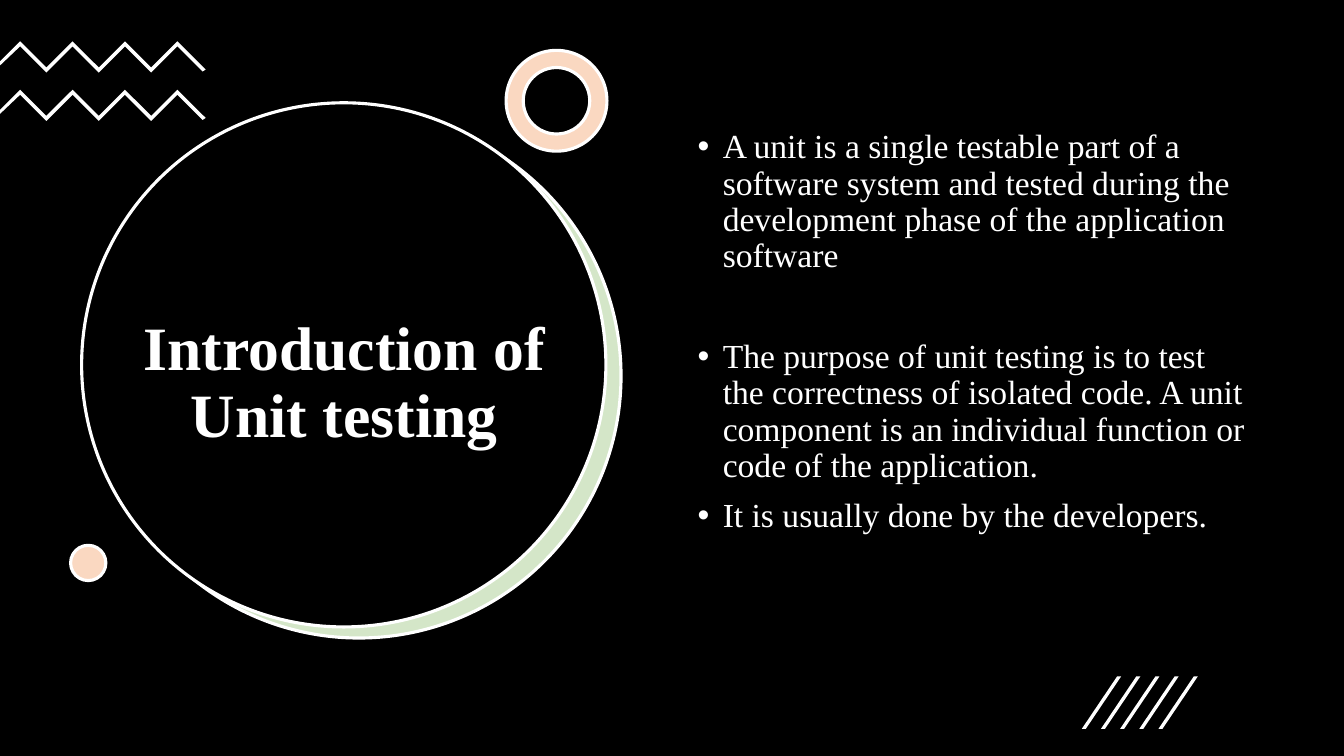
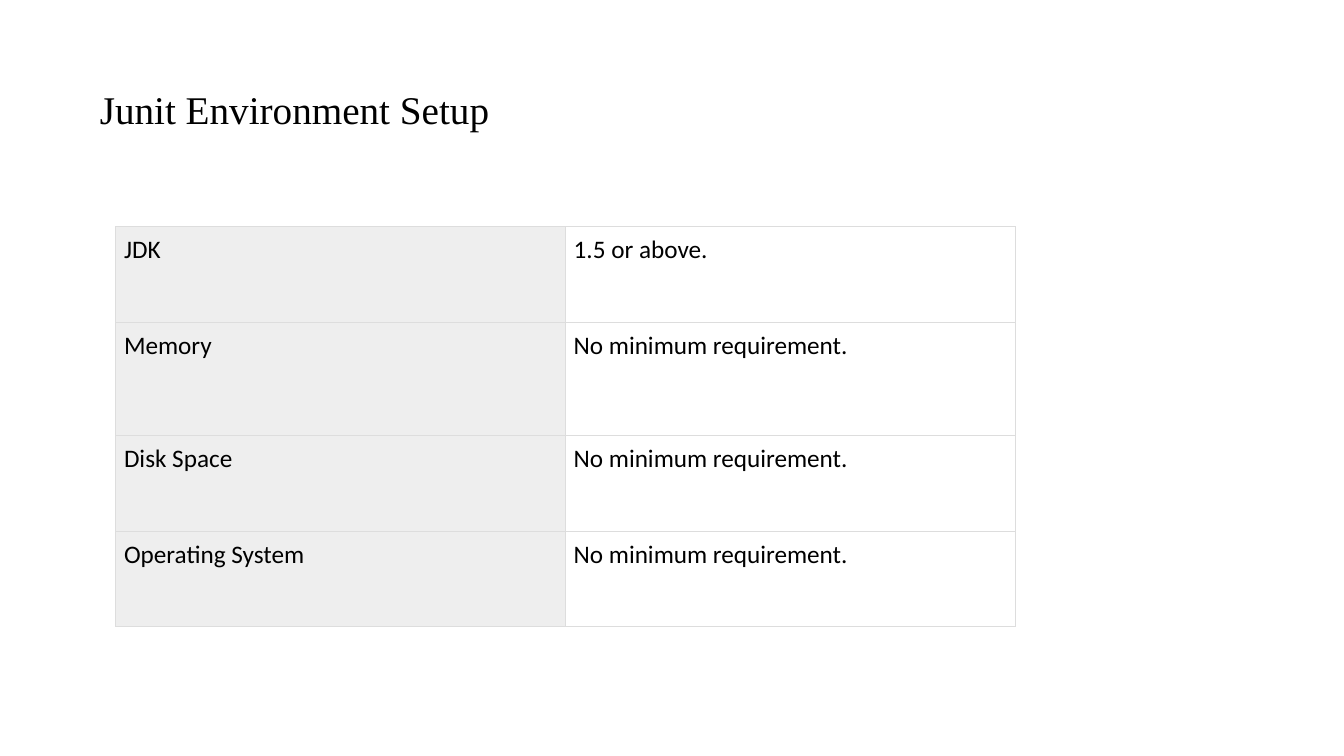
from lxml import etree
from pptx import Presentation
from pptx import util as u
from pptx.dml.color import RGBColor
from pptx.enum import shapes, text
from pptx.oxml import ns

BLACK = "000000"
WHITE = "FFFFFF"
GREEN = "D4E6C8"
PEACH = "FAD8C1"
GREY = "EEEEEE"
BORDER = "DDDDDD"
SERIF = "Times New Roman"
SANS = "Calibri"


def color(value):
    return RGBColor.from_string(value)


def add_xml(parent, tag, **attributes):
    return etree.SubElement(parent, ns.qn(tag), attributes)


class Deck:
    def __init__(self):
        self.deck = Presentation()
        self.deck.slide_width = u.Inches(13.33)
        self.deck.slide_height = u.Inches(7.5)
        self.page = None

    def add_page(self, background):
        self.page = self.deck.slides.add_slide(self.deck.slide_layouts[5])
        self.page.background.fill.solid()
        self.page.background.fill.fore_color.rgb = color(background)

    def style(self, paragraph, size, ink, name=SERIF, bold=False):
        font = paragraph.font
        font.name, font.size, font.bold = name, u.Pt(size), bold
        font.color.rgb = color(ink)

    def title(self, words, left, top, width, height, size, ink, align, bold=False):
        box = self.page.shapes.title
        box.left, box.top = u.Inches(left), u.Inches(top)
        box.width, box.height = u.Inches(width), u.Inches(height)
        box.element.getparent().append(box.element)
        frame = box.text_frame
        frame.text = words
        frame.word_wrap = True
        frame.auto_size = text.MSO_AUTO_SIZE.NONE
        frame.vertical_anchor = text.MSO_ANCHOR.MIDDLE
        paragraph = frame.paragraphs[0]
        paragraph.alignment = align
        paragraph.line_spacing = 0.9
        self.style(paragraph, size, ink, bold=bold)

    def round_shape(self, left, top, size, fill, kind=shapes.MSO_SHAPE.OVAL):
        shape = self.page.shapes.add_shape(
            kind, u.Inches(left), u.Inches(top), u.Inches(size), u.Inches(size))
        shape.shadow.inherit = False
        shape.fill.solid()
        shape.fill.fore_color.rgb = color(fill)
        shape.line.color.rgb = color(WHITE)
        shape.line.width = u.Pt(2.25)
        return shape

    def ring(self, left, top, size, fill, thickness):
        donut = self.round_shape(left, top, size, fill, shapes.MSO_SHAPE.DONUT)
        donut.adjustments[0] = thickness

    def outline(self, points, fill):
        points = [(u.Inches(x), u.Inches(y)) for x, y in points]
        builder = self.page.shapes.build_freeform(*points[0])
        builder.add_line_segments(points[1:], close=True)
        shape = builder.convert_to_shape()
        shape.shadow.inherit = False
        shape.fill.solid()
        shape.fill.fore_color.rgb = color(fill)
        shape.line.fill.background()

    def zigzag(self, top):
        peaks = [(0.2 + 0.26 * i, top + 0.26 * (i % 2)) for i in range(7)]
        tip = [(2.04, top + 0.28), (2.01, top + 0.3)]
        underside = [(x, y + 0.05) for x, y in reversed(peaks)]
        tail = [(0, top + 0.24), (0, top + 0.2)]
        self.outline(peaks + tip + underside + tail, WHITE)

    def slash(self, left, top):
        bottom = top + 0.52
        self.outline([(left + 0.04, bottom), (left, bottom),
                      (left + 0.35, top), (left + 0.39, top)], WHITE)

    def bullets(self, items, left, top, width, height, size, ink):
        box = self.page.shapes.add_textbox(
            u.Inches(left), u.Inches(top), u.Inches(width), u.Inches(height))
        frame = box.text_frame
        frame.word_wrap = True
        for index, (words, space) in enumerate(items):
            paragraph = frame.add_paragraph() if index else frame.paragraphs[0]
            paragraph.text = words
            paragraph.line_spacing = 0.9
            paragraph.space_before = u.Pt(space)
            properties = paragraph._p.get_or_add_pPr()
            properties.set("marL", str(u.Inches(0.25)))
            properties.set("indent", str(u.Inches(-0.25)))
            add_xml(properties, "a:buFont", typeface="Arial")
            add_xml(properties, "a:buChar", char="•")
            self.style(paragraph, size, ink)

    def cell(self, cell, words, fill):
        cell.text = words
        cell.margin_left = cell.margin_right = u.Inches(0.08)
        cell.margin_top = cell.margin_bottom = u.Inches(0.08)
        self.style(cell.text_frame.paragraphs[0], 18, BLACK, SANS)
        properties = cell._tc.get_or_add_tcPr()
        for side in "LRTB":
            line = add_xml(properties, f"a:ln{side}", w=str(u.Pt(0.75)))
            add_xml(add_xml(line, "a:solidFill"), "a:srgbClr", val=BORDER)
        if fill:
            cell.fill.solid()
            cell.fill.fore_color.rgb = color(fill)
        else:
            cell.fill.background()

    def table(self, rows, left, top, widths, heights, fills):
        table = self.page.shapes.add_table(
            len(rows), len(widths), u.Inches(left), u.Inches(top),
            u.Inches(sum(widths)), u.Inches(sum(heights))).table
        table.first_row = table.horz_banding = False
        for column, width in zip(table.columns, widths):
            column.width = u.Inches(width)
        for row, height, entries in zip(table.rows, heights, rows):
            row.height = u.Inches(height)
            for cell, words, fill in zip(row.cells, entries, fills):
                self.cell(cell, words, fill)


def introduction(deck):
    deck.add_page(BLACK)
    deck.round_shape(0.96, 1.13, 5.2, GREEN)
    deck.round_shape(0.81, 1.02, 5.2, BLACK)
    deck.title("Introduction of Unit testing", 1.21, 2.05, 4.41, 3.52,
               44, WHITE, text.PP_ALIGN.CENTER, bold=True)
    for top in (0.41, 0.89):
        deck.zigzag(top)
    deck.ring(5.02, 0.5, 1, PEACH, 0.17)
    deck.round_shape(0.7, 5.41, 0.35, PEACH)
    deck.bullets([
        ("A unit is a single testable part of a software system and tested "
         "during the development phase of the application software", 0),
        ("The purpose of unit testing is to test the correctness of isolated "
         "code. A unit component is an individual function or code of the "
         "application.", 46),
        ("It is usually done by the developers.", 10),
    ], 6.82, 1.24, 5.71, 4.76, 24, WHITE)
    for index in range(5):
        deck.slash(10.73 + 0.19 * index, 6.71)


def environment(deck):
    deck.add_page(WHITE)
    deck.title("Junit Environment Setup", 0.89, 0.37, 11.52, 1.48,
               28, BLACK, text.PP_ALIGN.LEFT)
    deck.table([
        ("JDK", "1.5 or above."),
        ("Memory", "No minimum requirement."),
        ("Disk Space", "No minimum requirement."),
        ("Operating System", "No minimum requirement."),
    ], 1.15, 2.25, [4.46, 4.46], [0.95, 1.12, 0.95, 0.95], [GREY, None])


def main():
    deck = Deck()
    introduction(deck)
    environment(deck)
    deck.deck.save("out.pptx")


if __name__ == "__main__":
    main()
